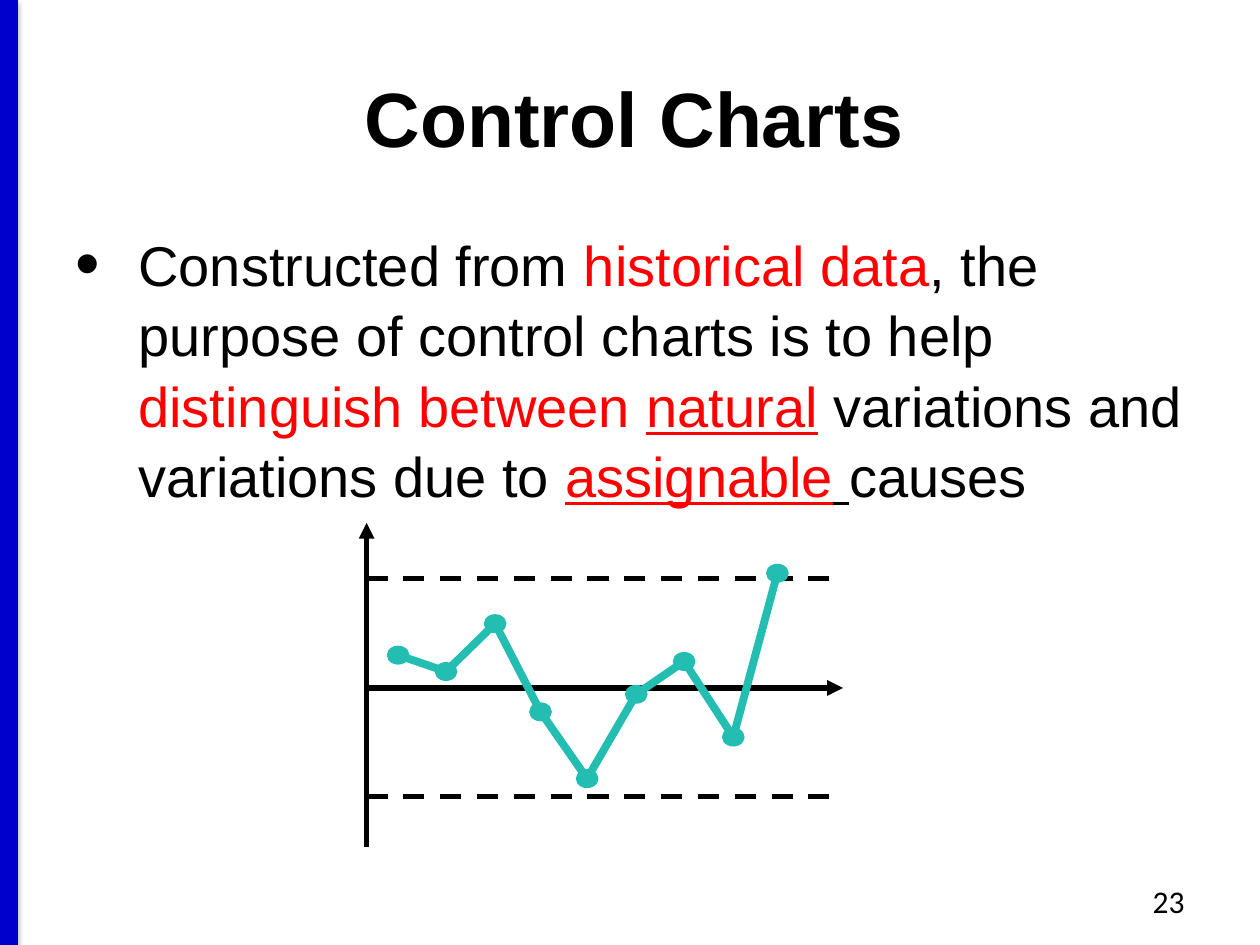
from lxml.etree import SubElement
from pptx import Presentation
from pptx.dml.color import RGBColor
from pptx.enum.dml import MSO_LINE
from pptx.enum.shapes import MSO_CONNECTOR, MSO_SHAPE
from pptx.enum.text import MSO_ANCHOR, PP_ALIGN
from pptx.oxml import parse_xml
from pptx.oxml.ns import nsdecls, qn
from pptx.util import Inches, Pt

COLORS = {
    "bar": "0000CC",
    "text": "000000",
    "accent": "FF0000",
    "series": "24BDB2",
}
SAMPLES = [
    (3.16, 5.2), (3.54, 5.33), (3.93, 4.95), (4.29, 5.65), (4.66, 6.18),
    (5.05, 5.51), (5.43, 5.25), (5.82, 5.85), (6.17, 4.55),
]
STATEMENT = [  # text, colour, underlined
    ("Constructed from ", "text", False),
    ("historical data", "accent", False),
    (", the purpose of control charts is to help ", "text", False),
    ("distinguish between ", "accent", False),
    ("natural", "accent", True),
    (" variations and variations due to ", "text", False),
    ("assignable", "accent", True),
    (" ", "text", True),
    ("causes", "text", False),
]
AXIS_X, CENTER_Y = 2.91, 5.46
CONTROL_LIMITS = (4.59, 6.32)


def color(name):
    return RGBColor.from_string(COLORS[name])


def add_run(paragraph, text, size, font="Arial", tint="text", bold=False, underline=False):
    run = paragraph.add_run()
    run.text = text
    run.font.name = font
    run.font.size = Pt(size)
    run.font.bold = bold
    run.font.underline = underline
    run.font.color.rgb = color(tint)


def add_line(slide, start, end, width=3, tint="text", dashed=False, arrow=False):
    line = slide.shapes.add_connector(
        MSO_CONNECTOR.STRAIGHT, *map(Inches, (*start, *end)))
    line.line.color.rgb = color(tint)
    line.line.width = Pt(width)
    if dashed:
        line.line.dash_style = MSO_LINE.DASH
    if arrow:
        SubElement(line.line._get_or_add_ln(), qn("a:tailEnd"), type="triangle")
    effects = SubElement(line._element.spPr, qn("a:effectLst"))
    return effects


def add_side_bar(slide):
    effects = add_line(slide, (0.07, 0), (0.07, 7.5), width=10, tint="bar")
    effects.append(parse_xml(
        f'<a:outerShdw {nsdecls("a")} blurRad="{Pt(3.1)}" dist="{Pt(1.6)}" '
        'dir="5400000" rotWithShape="0"><a:srgbClr val="000000">'
        '<a:alpha val="38000"/></a:srgbClr></a:outerShdw>'))


def add_title(slide, text):
    title = slide.shapes.title
    title.left, title.top, title.width, title.height = map(
        Inches, (0.07, 0.3, 9.93, 1.25))
    title.text_frame.vertical_anchor = MSO_ANCHOR.MIDDLE
    paragraph = title.text_frame.paragraphs[0]
    paragraph.alignment = PP_ALIGN.CENTER
    add_run(paragraph, text, 44, bold=True)


def add_text_box(slide, left, top, width, height):
    """Return the first paragraph of a new wrapping text box."""
    box = slide.shapes.add_textbox(*map(Inches, (left, top, width, height)))
    box.text_frame.word_wrap = True
    return box.text_frame.paragraphs[0]


def add_statement(slide):
    paragraph = add_text_box(slide, 0.5, 1.75, 9, 4.95)
    properties = paragraph._p.get_or_add_pPr()
    properties.set("marL", str(Inches(0.5)))
    properties.set("indent", str(-Inches(0.5)))
    SubElement(properties, qn("a:buSzPct"), val="125000")
    SubElement(properties, qn("a:buFont"), typeface="Arial")
    SubElement(properties, qn("a:buChar"), char="•")
    paragraph.line_spacing = 1.05
    paragraph.space_after = Pt(12)
    for text, tint, underline in STATEMENT:
        add_run(paragraph, text, 32, tint=tint, underline=underline)


def add_slide_number(slide, number):
    paragraph = add_text_box(slide, 7.17, 6.95, 2.33, 0.4)
    paragraph.alignment = PP_ALIGN.RIGHT
    add_run(paragraph, number, 18, font="Calibri")


def add_axes(slide):
    add_line(slide, (AXIS_X, 6.72), (AXIS_X, 4.15), arrow=True)
    add_line(slide, (AXIS_X, CENTER_Y), (6.69, CENTER_Y), arrow=True)
    for limit in CONTROL_LIMITS:
        add_line(slide, (AXIS_X, limit), (6.66, limit), dashed=True)


def add_series(slide):
    points = [(Inches(x), Inches(y)) for x, y in SAMPLES]
    builder = slide.shapes.build_freeform(*points[0])
    builder.add_line_segments(points[1:], close=False)
    curve = builder.convert_to_shape()
    curve.shadow.inherit = False
    curve.fill.background()
    curve.line.color.rgb = color("series")
    curve.line.width = Pt(4.5)

    width, height = Inches(0.17), Inches(0.14)
    for x, y in points:
        marker = slide.shapes.add_shape(
            MSO_SHAPE.OVAL, x - width // 2, y - height // 2, width, height)
        marker.shadow.inherit = False
        marker.fill.solid()
        marker.fill.fore_color.rgb = color("series")
        marker.line.color.rgb = color("series")
        marker.line.width = Pt(0.75)


def main():
    deck = Presentation()
    deck.slide_width, deck.slide_height = Inches(10), Inches(7.5)
    slide = deck.slides.add_slide(deck.slide_layouts[5])
    add_side_bar(slide)
    add_title(slide, "Control Charts")
    add_statement(slide)
    add_slide_number(slide, "23")
    add_axes(slide)
    add_series(slide)
    deck.save("out.pptx")


if __name__ == "__main__":
    main()
